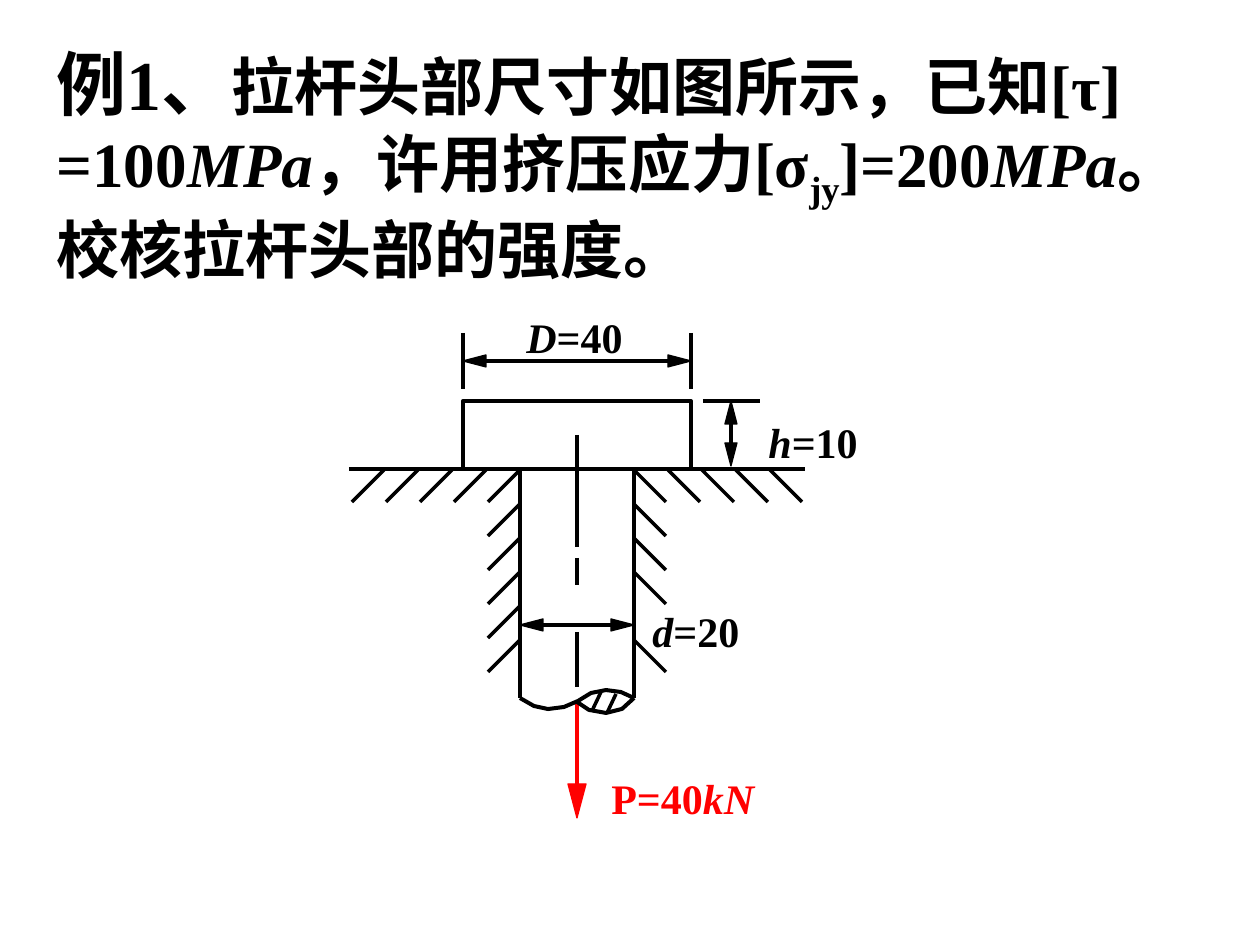
import collections
import dataclasses

import lxml.etree
import pptx
import pptx.dml.color
import pptx.enum.shapes
import pptx.enum.text
import pptx.oxml.ns
import pptx.util

Box = collections.namedtuple("Box", "left top width height")
Span = collections.namedtuple("Span", "text size italic baseline", defaults=(None, False, 0))


@dataclasses.dataclass(frozen=True)
class Theme:
    """Colours, type sizes and strokes of the slide."""
    font: str = "Times New Roman"
    ink: str = "000000"
    force: str = "FF0000"
    lead_size: int = 40
    title_size: int = 36
    label_size: int = 24
    thick: int = 4
    hair: int = 0


THEME = Theme()
EMU_PER_PX = 914400 / 126
HATCH_STEP = 34
HATCH_SIZE = 32


def emu(px):
    """Turn pixels into EMU."""
    return pptx.util.Emu(round(px * EMU_PER_PX))


def rgb(color):
    """Turn a hex string into a colour."""
    return pptx.dml.color.RGBColor.from_string(color)


def set_stroke(shape, color, width):
    """Give a shape or connector a solid stroke."""
    shape.line.color.rgb = rgb(color)
    shape.line.width = emu(width)


def draw_line(page, start, end, color=THEME.ink, width=THEME.hair):
    """Draw a straight line between two points."""
    line = page.shapes.add_connector(
        pptx.enum.shapes.MSO_CONNECTOR.STRAIGHT, *map(emu, (*start, *end)))
    set_stroke(line, color, width)
    lxml.etree.SubElement(line._element.spPr, pptx.oxml.ns.qn("a:effectLst"))


def draw_outline(page, points, color=THEME.ink, width=THEME.hair, filled=False):
    """Draw an open polyline, or a filled polygon."""
    first, *rest = points
    builder = page.shapes.build_freeform(*first, scale=EMU_PER_PX)
    builder.add_line_segments(rest, close=filled)
    outline = builder.convert_to_shape()
    outline.shadow.inherit = False
    set_stroke(outline, color, width)
    if filled:
        outline.fill.solid()
        outline.fill.fore_color.rgb = rgb(color)
    else:
        outline.fill.background()


def draw_arrow(page, start, end, length, half, color=THEME.ink, width=THEME.hair, both=False):
    """Draw a horizontal or vertical arrow with one or two solid heads."""
    reach = abs(end[0] - start[0]) + abs(end[1] - start[1])
    ux, uy = (end[0] - start[0]) / reach, (end[1] - start[1]) / reach
    heads = [(end, 1), (start, -1)] if both else [(end, 1)]
    bases = []
    for (x, y), sign in heads:
        base_x, base_y = x - sign * ux * length, y - sign * uy * length
        corners = [(base_x + side * uy * half, base_y + side * ux * half) for side in (-1, 1)]
        draw_outline(page, [(x, y), *corners], color, filled=True)
        bases.append((base_x, base_y))
    draw_line(page, bases[1] if both else start, bases[0], color, width)


def draw_dimension(page, start, end):
    """Draw a double-headed dimension line."""
    draw_arrow(page, start, end, 23, 6, both=True)


def write_spans(para, spans, size, color):
    """Write runs into a paragraph that shares one font."""
    para.font.name, para.font.bold = THEME.font, True
    para.font.size, para.font.color.rgb = pptx.util.Pt(size), rgb(color)
    for item in spans:
        span = para.add_run()
        span.text = item.text
        if item.size:
            span.font.size = pptx.util.Pt(item.size)
        if item.italic:
            span.font.italic = True
        if item.baseline:
            span._r.get_or_add_rPr().set("baseline", str(item.baseline))


def fill_title(page, box):
    """Place the problem statement in the title."""
    title = page.shapes.title
    title.left, title.top, title.width, title.height = map(emu, box)
    frame = title.text_frame
    frame.word_wrap = True
    frame.auto_size = pptx.enum.text.MSO_AUTO_SIZE.NONE
    frame.vertical_anchor = pptx.enum.text.MSO_ANCHOR.MIDDLE
    para = frame.paragraphs[0]
    para.alignment = pptx.enum.text.PP_ALIGN.LEFT
    write_spans(para, [
        Span("例1、", THEME.lead_size),
        Span("拉杆头部尺寸如图所示，已知[τ] =100"), Span("MPa", italic=True),
        Span("，许用挤压应力[σ"), Span("jy", baseline=-25000),
        Span("]=200"), Span("MPa", italic=True), Span("。校核拉杆头部的强度。"),
    ], THEME.title_size, THEME.ink)


def add_label(page, box, spans, color=THEME.ink):
    """Place one label of the drawing."""
    frame = page.shapes.add_textbox(*map(emu, box)).text_frame
    frame.word_wrap = True
    write_spans(frame.paragraphs[0], spans, THEME.label_size, color)


def draw_head(page, box):
    """Draw the rod head with its width and height dimensions."""
    head = page.shapes.add_shape(pptx.enum.shapes.MSO_SHAPE.RECTANGLE, *map(emu, box))
    head.shadow.inherit = False
    head.fill.background()
    set_stroke(head, THEME.ink, THEME.thick)
    right = box.left + box.width
    for x in (box.left, right):
        draw_line(page, (x, box.top - 68), (x, box.top - 12))
    draw_dimension(page, (box.left, box.top - 40), (right, box.top - 40))
    draw_line(page, (right + 12, box.top), (right + 69, box.top))
    draw_dimension(page, (right + 40, box.top), (right + 40, box.top + box.height - 3))


def draw_support(page, box, shaft):
    """Draw the support surface and the hatching around the hole."""
    draw_line(page, box[:2], (box.left + box.width, box.top), width=THEME.thick)
    label_gap = (1, 4)
    for side, wall in ((-1, shaft.left), (1, shaft.left + shaft.width)):
        starts = [(wall + side * HATCH_STEP * step, box.top + 1) for step in range(5)]
        starts += [(wall, box.top + 1 + HATCH_STEP * step)
                   for step in range(1, 6) if (side, step) != label_gap]
        for x, y in starts:
            draw_line(page, (x, y), (x + side * HATCH_SIZE, y + HATCH_SIZE))


def draw_shaft(page, box):
    """Draw the shaft walls, centre line, diameter and broken end."""
    right, bottom = box.left + box.width, box.top + box.height
    axis = box.left + box.width // 2
    for x in (box.left, right):
        draw_line(page, (x, box.top), (x, bottom), width=THEME.thick)
    for start, end in ((-34, 78), (89, 116), (163, 218)):
        draw_line(page, (axis, box.top + start), (axis, box.top + end))
    draw_dimension(page, (box.left, box.top + 156), (right, box.top + 156))
    wave = [(0, 0), (14, 8), (28, 11), (44, 9), (58, 3), (71, -5), (86, -8), (101, -6), (114, 0)]
    lip = [(57, 4), (69, 12), (86, 15), (102, 11), (114, 0)]
    for curve in (wave, lip):
        draw_outline(page, [(box.left + x, bottom + y) for x, y in curve], width=THEME.thick)
    for x, y in ((81, -6), (96, -4)):
        draw_line(page, (box.left + x, bottom + y), (box.left + x - 9, bottom + y + 19))


def draw_force(page, box):
    """Draw the load arrow pulling the rod down."""
    axis = box.left + box.width // 2
    draw_arrow(page, (axis, box.top), (axis, box.top + box.height), 34, box.width // 2,
               THEME.force, THEME.thick)


def main():
    """Build the slide and save it."""
    deck = pptx.Presentation()
    deck.slide_width, deck.slide_height = emu(1260), emu(945)
    page = deck.slides.add_slide(deck.slide_layouts[5])
    shaft = Box(520, 469, 114, 229)
    fill_title(page, Box(44, 84, 1171, 158))
    draw_head(page, Box(463, 401, 228, 68))
    draw_support(page, Box(349, 469, 456, 32), shaft)
    draw_force(page, Box(568, 704, 18, 114))
    draw_shaft(page, shaft)
    for box, name, value in ((Box(514, 305, 126, 63), "D", "=40"),
                             (Box(756, 410, 168, 63), "h", "=10"),
                             (Box(640, 599, 147, 63), "d", "=20")):
        add_label(page, box, [Span(name, italic=True), Span(value)])
    add_label(page, Box(599, 766, 179, 63), [Span("P=40"), Span("kN", italic=True)], THEME.force)
    deck.save("out.pptx")


if __name__ == "__main__":
    main()
